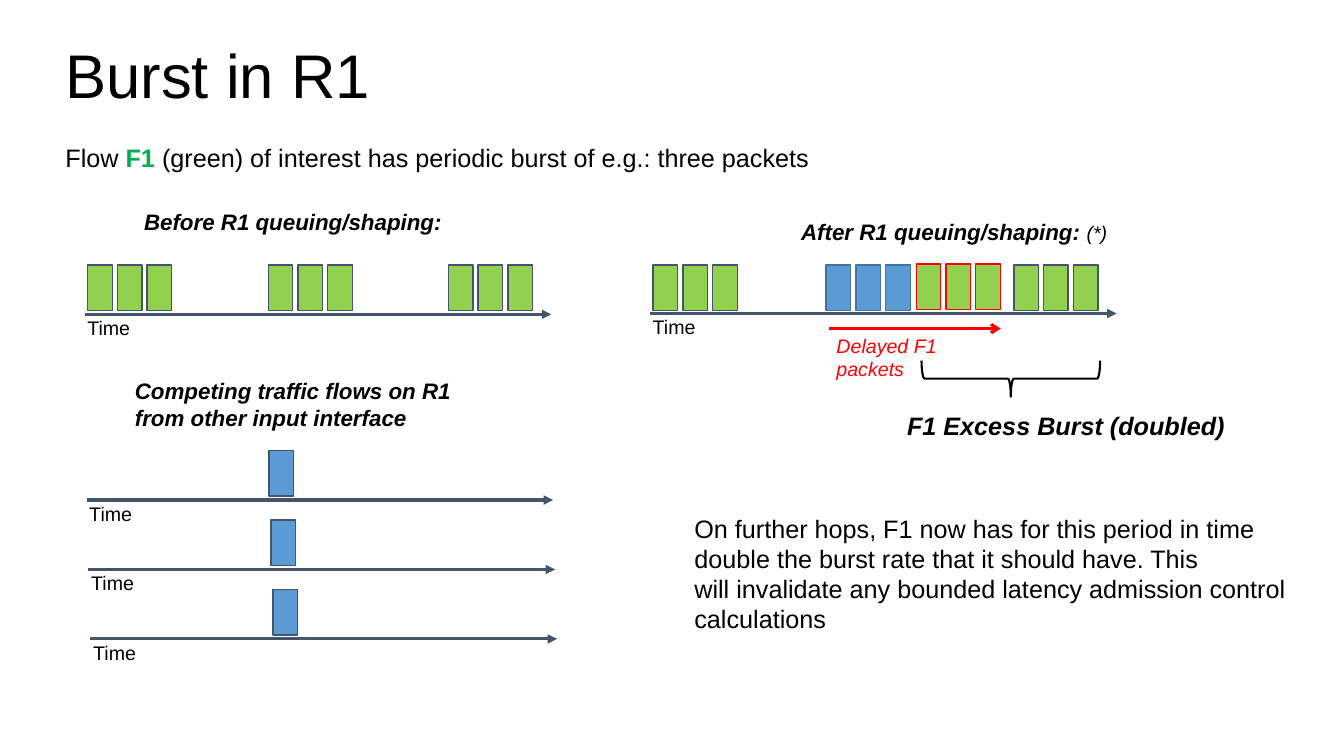
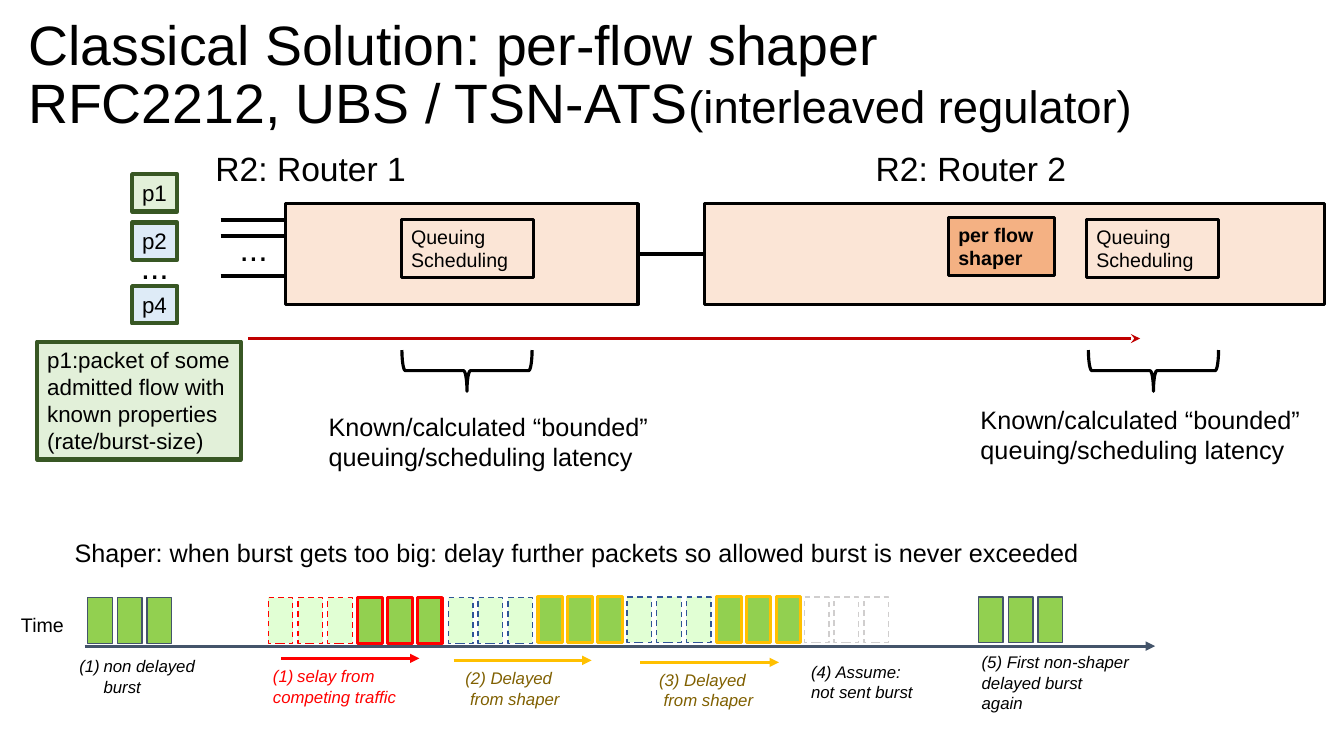
"""Build two slides on bursts and per-flow shaping."""
import pptx
import pptx.util
import pptx.dml.color
import pptx.enum.dml
import pptx.enum.shapes
import pptx.enum.text
import pptx.oxml
import pptx.oxml.ns
from pptx.util import Cm

FONT = "Arial"
COLORS = {
    "black": "000000", "green": "92D050", "pale": "E1FFD4", "blue": "5B9BD5",
    "blue edge": "43739E", "slate": "44546A", "navy": "2F5597", "red": "FF0000",
    "amber": "FFC000", "olive": "806000", "gray": "D0CECE", "flow": "00B050",
    "peach": "FBE5D6", "orange": "F4B183", "mint": "E2F0D9", "ice": "DEEBF7",
    "forest": "385724", "crimson": "C00000",
}
PACKET_WIDTH, PACKET_HEIGHT, PACKET_STEP = 0.62, 1.15, 0.75
AXIS_LENGTH = 11.76
HEADING = {"size": 16, "bold": True, "italic": True}
SMALL = {"size": 12, "italic": True}

BURST_TITLE = ((1.4, 0.81, 29.21, 2.36), ["Burst in R1"], {"size": 44, "spacing": 0.9})
BURST_TEXTS = [
    ((1.4, 3.58, 31.22, 1.85),
     [[("Flow ", {}), ("F1 ", {"color": "flow", "bold": True}),
       ("(green) of interest has periodic burst of e.g.: three packets", {})]],
     {"spacing": 0.85, "before": 10, "wrap": True}),
    ((3.38, 5.13, 8.03, 0.94), ["Before R1 queuing/shaping:"], HEADING),
    ((19.94, 5.38, 8.26, 0.94),
     [[("After R1 queuing/shaping: ", {}), ("(*)", {"size": 14, "bold": False})]], HEADING),
    ((3.15, 9.37, 8.51, 1.6),
     ["Competing traffic flows on R1 ", "from other input interface"], HEADING),
    ((20.83, 8.28, 3.5, 1.4), ["Delayed F1 packets"],
     {"size": 14, "italic": True, "color": "red", "wrap": True}),
    ((22.61, 10.21, 8.51, 1.02), ["F1 Excess Burst (doubled)"],
     {"bold": True, "italic": True}),
    ((17.25, 12.8, 15.42, 3.3),
     ["On further hops, F1 now has for this period in time",
      "double the burst rate that it should have. This",
      "will invalidate any bounded latency admission control", "calculations"], {}),
]
PLAIN = ("green", "slate", 1, False)
BURST_PACKETS = [
    (2.21, 6.68, PLAIN), (6.76, 6.68, PLAIN), (11.3, 6.68, PLAIN),
    (16.46, 6.68, PLAIN), (25.55, 6.68, PLAIN),
    (20.82, 6.68, ("blue", "blue edge", 1, False)),
    (23.09, 6.65, ("green", "red", 1, False)),
]
BURST_AXES = [(2.13, 7.92), (16.38, 7.9)]
COMPETING = [(2.18 + 0.05 * row, 12.6 + 1.75 * row) for row in range(3)]

SHAPER_TITLE = (
    (0.46, 0.46, 31.06, 2.95),
    [[("Classical Solution: per-flow shaper\vRFC2212, UBS / TSN-ATS", {}),
      ("(interleaved regulator)", {"size": 32.4})]],
    {"size": 39.6, "spacing": 0.88})
QUEUE = ["Queuing", "Scheduling"]
LATENCY = ["Known/calculated “bounded”", "queuing/scheduling latency"]
SHAPER_BOXES = [
    ((17.75, 5.13, 15.62, 2.54), "peach", "black", 2.25, [], {}),
    ((27.38, 5.54, 3.33, 1.45), None, "black", 2.25, QUEUE, {"size": 14}),
    ((7.19, 5.13, 8.89, 2.54), "peach", "black", 2.25, [], {}),
    ((10.11, 5.54, 3.33, 1.45), None, "black", 2.25, QUEUE, {"size": 14}),
    ((23.9, 5.49, 2.67, 1.45), "orange", "black", 2.25, ["per flow", "shaper"],
     {"size": 14, "bold": True}),
    ((3.33, 4.39, 1.14, 0.94), "mint", "forest", 3, ["p1"], {"size": 16}),
    ((3.33, 5.61, 1.14, 0.94), "ice", "forest", 3, ["p2"], {"size": 16}),
    ((3.33, 7.21, 1.14, 0.94), "ice", "forest", 3, ["p4"], {"size": 16}),
    ((0.94, 8.61, 5.13, 2.97), "mint", "forest", 3,
     ["p1:packet of some", "admitted flow with", "known properties", "(rate/burst-size)"],
     {"size": 16}),
]
SHAPER_TEXTS = [
    ((5.18, 3.61, 5.31, 1.27), ["R2: Router 1 "], {"size": 24}),
    ((21.82, 3.61, 5.31, 1.27), ["R2: Router 2 "], {"size": 24}),
    ((5.79, 5.61, 1.22, 1.27), ["..."], {"size": 24}),
    ((3.3, 6.07, 1.22, 1.27), ["..."], {"size": 24}),
    ((8.03, 10.24, 8.56, 1.78), LATENCY, {}),
    ((24.46, 10.06, 8.56, 1.78), LATENCY, {}),
    ((1.63, 13.51, 31.22, 1.85),
     ["Shaper: when burst gets too big: delay further packets so allowed burst "
      "is never exceeded"], {"spacing": 0.9, "before": 10, "wrap": True}),
    ((0.28, 15.32, 1.6, 0.84), ["Time"], {"size": 14}),
    ((1.75, 16.41, 3.43, 1.27), ["non delayed\vburst"], {**SMALL, "numbered": True}),
    ((6.63, 16.66, 3.61, 1.27), ["selay from ", "competing traffic"],
     {**SMALL, "color": "red", "numbered": True}),
    ((11.48, 16.71, 2.9, 1.27), ["(2) Delayed\v from shaper"], {**SMALL, "color": "olive"}),
    ((16.36, 16.76, 2.9, 1.27), ["(3) Delayed \v from shaper"], {**SMALL, "color": "olive"}),
    ((20.19, 16.54, 3.07, 1.27), ["(4) Assume:", "not sent burst"], SMALL),
    ((24.49, 16.31, 4.22, 1.78),
     ["(5) First non-shaper", "delayed burst", "again"], SMALL),
]
SHAPED = ("green", "amber", 2.25, False)
WAITING = ("pale", "navy", 1, True)
SHAPER_PACKETS = [
    (2.21, 15.06, PLAIN), (11.3, 15.06, WAITING),
    (9.02, 15.06, ("green", "red", 2.25, False)),
    (6.76, 15.06, ("pale", "red", 1, True)),
    (13.56, 15.04, SHAPED), (18.06, 15.04, SHAPED), (15.8, 15.04, WAITING),
    (24.66, 15.04, PLAIN), (20.27, 15.04, (None, "gray", 1, True)),
]
SHAPER_LINES = [
    (16.08, 17.75, 6.4, "black", 3, None),
    (5.56, 7.24, 5.54, "black", 3, None),
    (5.56, 7.24, 5.94, "black", 3, None),
    (5.56, 7.24, 6.96, "black", 3, None),
    (6.25, 28.73, 8.53, "crimson", 2.25, "stealth"),
    (2.13, 29.11, 16.28, "slate", 2.25, "triangle"),
    (7.09, 10.57, 16.59, "red", 2.25, "triangle"),
    (11.43, 14.91, 16.64, "amber", 2.25, "triangle"),
    (16.13, 19.63, 16.69, "amber", 2.25, "triangle"),
]


def rgb(name):
    return pptx.dml.color.RGBColor.from_string(COLORS[name])


def place(box):
    return [Cm(length) for length in box]


def format_run(run, style):
    run.font.name = FONT
    run.font.size = pptx.util.Pt(style.get("size", 18))
    run.font.bold = style.get("bold", False)
    run.font.italic = style.get("italic", False)
    run.font.color.rgb = rgb(style.get("color", "black"))


def number(para):
    settings = para._p.get_or_add_pPr()
    settings.set("marL", str(Cm(0.61)))
    settings.set("indent", str(-Cm(0.61)))
    bullet = pptx.oxml.parse_xml(
        f'<a:buAutoNum {pptx.oxml.ns.nsdecls("a")} type="arabicParenBoth"/>')
    settings.append(bullet)


def write(frame, lines, style):
    frame.word_wrap = style.get("wrap", False)
    frame.vertical_anchor = style.get("anchor", pptx.enum.text.MSO_ANCHOR.TOP)
    for index, line in enumerate(lines):
        para = frame.add_paragraph() if index else frame.paragraphs[0]
        spans = [(line, {})] if isinstance(line, str) else line
        para.alignment = pptx.enum.text.PP_ALIGN.LEFT
        para.line_spacing = style.get("spacing", 1.0)
        para.space_before = pptx.util.Pt(style.get("before", 0))
        para.text = spans[0][0]
        for run in para.runs:
            format_run(run, {**style, **spans[0][1]})
        for text, changes in spans[1:]:
            span = para.add_run()
            span.text = text
            format_run(span, {**style, **changes})
        if style.get("numbered") and index == 0:
            number(para)


def add_text(page, box, lines, style):
    write(page.shapes.add_textbox(*place(box)).text_frame, lines, style)


def add_title(page, box, lines, style):
    middle = pptx.enum.text.MSO_ANCHOR.MIDDLE
    add_text(page, box, lines, {**style, "wrap": True, "anchor": middle})


def add_box(page, box, fill, edge, weight, dashed=False, kind="RECTANGLE"):
    shape = page.shapes.add_shape(
        getattr(pptx.enum.shapes.MSO_SHAPE, kind), *place(box))
    shape.shadow.inherit = False
    if fill:
        shape.fill.solid()
        shape.fill.fore_color.rgb = rgb(fill)
    else:
        shape.fill.background()
    shape.line.color.rgb = rgb(edge)
    shape.line.width = pptx.util.Pt(weight)
    if dashed:
        shape.line.dash_style = pptx.enum.dml.MSO_LINE.DASH
    return shape


def add_packets(page, left, top, look, count=3):
    for index in range(count):
        add_box(page, (left + index * PACKET_STEP, top, PACKET_WIDTH, PACKET_HEIGHT), *look)


def add_brace(page, box, weight):
    add_box(page, box, None, "black", weight, kind="LEFT_BRACE").rotation = 270


def add_line(page, start, end, height, color, weight, head):
    line = page.shapes.add_connector(
        pptx.enum.shapes.MSO_CONNECTOR.STRAIGHT, *place((start, height, end, height)))
    line.line.color.rgb = rgb(color)
    line.line.width = pptx.util.Pt(weight)
    space = pptx.oxml.ns.nsdecls("a")
    if head:
        line.line._get_or_add_ln().append(
            pptx.oxml.parse_xml(f'<a:tailEnd {space} type="{head}"/>'))
    line._element.spPr.append(pptx.oxml.parse_xml(f"<a:effectLst {space}/>"))


def add_axis(page, left, height):
    add_line(page, left, left + AXIS_LENGTH, height, "slate", 2.25, "triangle")
    add_text(page, (left - 0.18, height - 0.08, 1.6, 0.84), ["Time"], {"size": 14})


def build_burst(page):
    add_title(page, *BURST_TITLE)
    for group in BURST_PACKETS:
        add_packets(page, *group)
    for left, height in BURST_AXES + COMPETING:
        add_axis(page, left, height)
    for left, height in COMPETING:
        add_packets(page, left + 4.6, height - 1.25, ("blue", "slate", 1, False), 1)
    for item in BURST_TEXTS:
        add_text(page, *item)
    add_line(page, 20.88, 25.22, 8.28, "red", 2.25, "arrow")
    add_brace(page, (25.02, 7.29, 0.91, 4.5), 1.5)


def build_shaper(page):
    add_title(page, *SHAPER_TITLE)
    for box, fill, edge, weight, lines, style in SHAPER_BOXES:
        shape = add_box(page, box, fill, edge, weight)
        write(shape.text_frame, lines, style)
    for group in SHAPER_PACKETS:
        add_packets(page, *group)
    for line in SHAPER_LINES:
        add_line(page, *line)
    for left in (11.25, 28.55):
        add_brace(page, (left, 7.7, 1.04, 3.28), 2.25)
    for item in SHAPER_TEXTS:
        add_text(page, *item)


deck = pptx.Presentation()
deck.slide_width, deck.slide_height = Cm(33.87), Cm(19.05)
for build in (build_burst, build_shaper):
    build(deck.slides.add_slide(deck.slide_layouts[6]))
deck.save("out.pptx")
